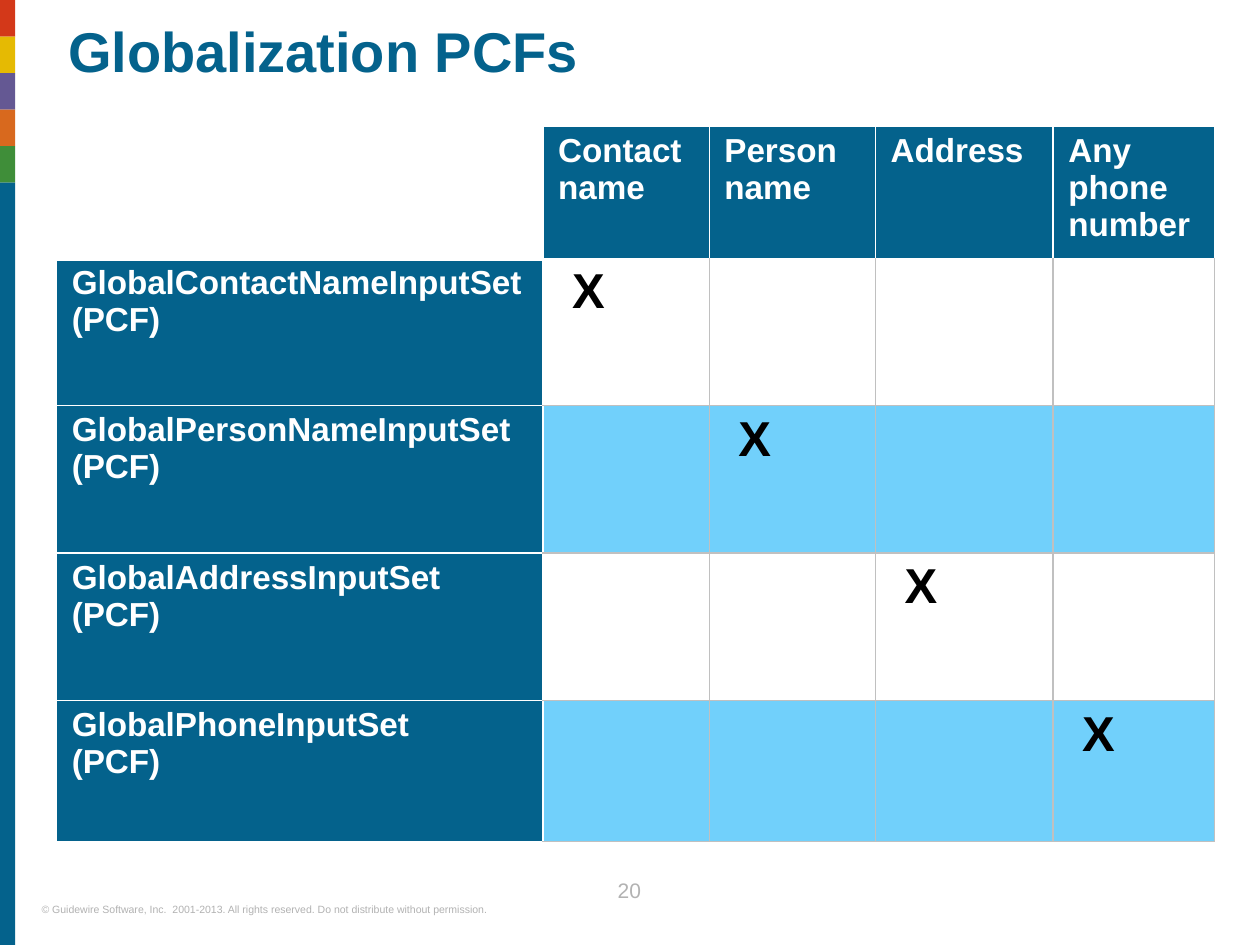
from lxml import etree
from pptx import Presentation, util as u
from pptx.dml.color import RGBColor
from pptx.enum import shapes, text
from pptx.oxml import ns

BLUE = RGBColor(0x04, 0x62, 0x8C)
LIGHT_BLUE = RGBColor(0x71, 0xD0, 0xFB)
GREEN = RGBColor(0x3F, 0x8E, 0x39)
ORANGE = RGBColor(0xD8, 0x69, 0x1E)
PURPLE = RGBColor(0x64, 0x58, 0x93)
YELLOW = RGBColor(0xE5, 0xBA, 0x03)
RED = RGBColor(0xD3, 0x38, 0x19)
GREY = RGBColor(0xB2, 0xB2, 0xB2)
GRID = RGBColor(0xC0, 0xC0, 0xC0)
WHITE = RGBColor(0xFF, 0xFF, 0xFF)
BLACK = RGBColor(0, 0, 0)


def write(frame, words, color, **font_format):
    """Fill the first paragraph and format its runs."""
    line = frame.paragraphs[0]
    line.text = words
    for run in line.runs:
        run.font.color.rgb = color
        for name, value in {"name": "Arial", **font_format}.items():
            setattr(run.font, name, value)
    return line


def border(cell, side, color, width):
    """Draw one side of a table cell; call in the order L, R, T, B."""
    props = cell._tc.get_or_add_tcPr()
    edge = etree.SubElement(props, ns.qn(f"a:ln{side}"), w=str(u.Pt(width)))
    paint = etree.SubElement(edge, ns.qn("a:solidFill"))
    etree.SubElement(paint, ns.qn("a:srgbClr"), val=str(color))


deck = Presentation()
deck.slide_width, deck.slide_height = u.Inches(10), u.Inches(7.5)
slide = deck.slides.add_slide(deck.slide_layouts[6])

# Coloured strip along the left edge
STEP = 0.29
stripes = [(color, i * STEP, STEP) for i, color in
           enumerate([RED, YELLOW, PURPLE, ORANGE, GREEN])]
stripes.append((BLUE, 5 * STEP, 7.5 - 5 * STEP))
for color, top, height in stripes:
    stripe = slide.shapes.add_shape(
        shapes.MSO_SHAPE.RECTANGLE, 0, u.Inches(top), u.Inches(0.12), u.Inches(height))
    stripe.shadow.inherit = False
    stripe.fill.solid()
    stripe.fill.fore_color.rgb = color
    stripe.line.fill.background()

# Title, copyright line and page number
NO_MARGINS = dict.fromkeys(("margin_left", "margin_top", "margin_right", "margin_bottom"), 0)
labels = [
    ((0.54, 0.13, 9.1, 0.81), "Globalization PCFs", BLUE,
     {"size": u.Pt(32), "bold": True}, {}),
    ((0.33, 7.17, 4.02, 0.1),
     "© Guidewire Software, Inc.  2001-2013. All rights reserved. "
     "Do not distribute without permission.", GREY, {"size": u.Pt(6)}, {}),
    ((4.71, 7.08, 0.57, 0.25), "20", GREY, {"size": u.Pt(12)},
     {"alignment": text.PP_ALIGN.CENTER, "line_spacing": u.Pt(6.3)}),
]
for place, words, color, font_format, line_format in labels:
    label = slide.shapes.add_textbox(*map(u.Inches, place)).text_frame
    for name, value in {**NO_MARGINS, "word_wrap": True}.items():
        setattr(label, name, value)
    line = write(label, words, color, **font_format)
    for name, value in line_format.items():
        setattr(line, name, value)

# Table: each input set is marked under the field it serves
fields = ["Contact name", "Person name", "Address", "Any phone number"]
input_sets = ["GlobalContactNameInputSet", "GlobalPersonNameInputSet",
              "GlobalAddressInputSet", "GlobalPhoneInputSet"]
widths = [3.86, 1.32, 1.32, 1.41, 1.28]
heights = [1.04, 1.17, 1.17, 1.17, 1.12]
matrix = slide.shapes.add_table(
    len(heights), len(widths), u.Inches(0.45), u.Inches(1),
    u.Inches(sum(widths)), u.Inches(sum(heights))).table
for name in ("first_row", "horz_banding"):
    setattr(matrix, name, False)
for column, width in zip(matrix.columns, widths):
    column.width = u.Inches(width)
for row, height in zip(matrix.rows, heights):
    row.height = u.Inches(height)

for r in range(len(heights)):
    for c in range(len(widths)):
        cell = matrix.cell(r, c)
        corner = r == c == 0
        heading = r == 0 or c == 0

        # White lines touch the headings, grey lines divide the body
        border(cell, "L", WHITE if heading or c == 1 else GRID, 0.96)
        border(cell, "R", WHITE if heading else GRID, 0.96)
        border(cell, "T", WHITE if heading or r == 1 else GRID, 0.96)
        border(cell, "B", WHITE if heading else GRID, 3 if corner else 0.96)

        cell.fill.solid()
        if heading:
            cell.fill.fore_color.rgb = WHITE if corner else BLUE
        else:
            cell.fill.fore_color.rgb = WHITE if r % 2 else LIGHT_BLUE

        marked = r == c and not corner
        for name, value in {"margin_left": 0.23 if marked else 0.12, "margin_right": 0.12,
                            "margin_top": 0.05, "margin_bottom": 0.05}.items():
            setattr(cell, name, u.Inches(value))
        if marked:
            write(cell.text_frame, "X", BLACK, size=u.Pt(28), bold=True)
        elif heading and not corner:
            words = fields[c - 1] if r == 0 else f"{input_sets[r - 1]}\v(PCF)"
            write(cell.text_frame, words, WHITE, size=u.Pt(19), bold=True)

deck.save("out.pptx")
